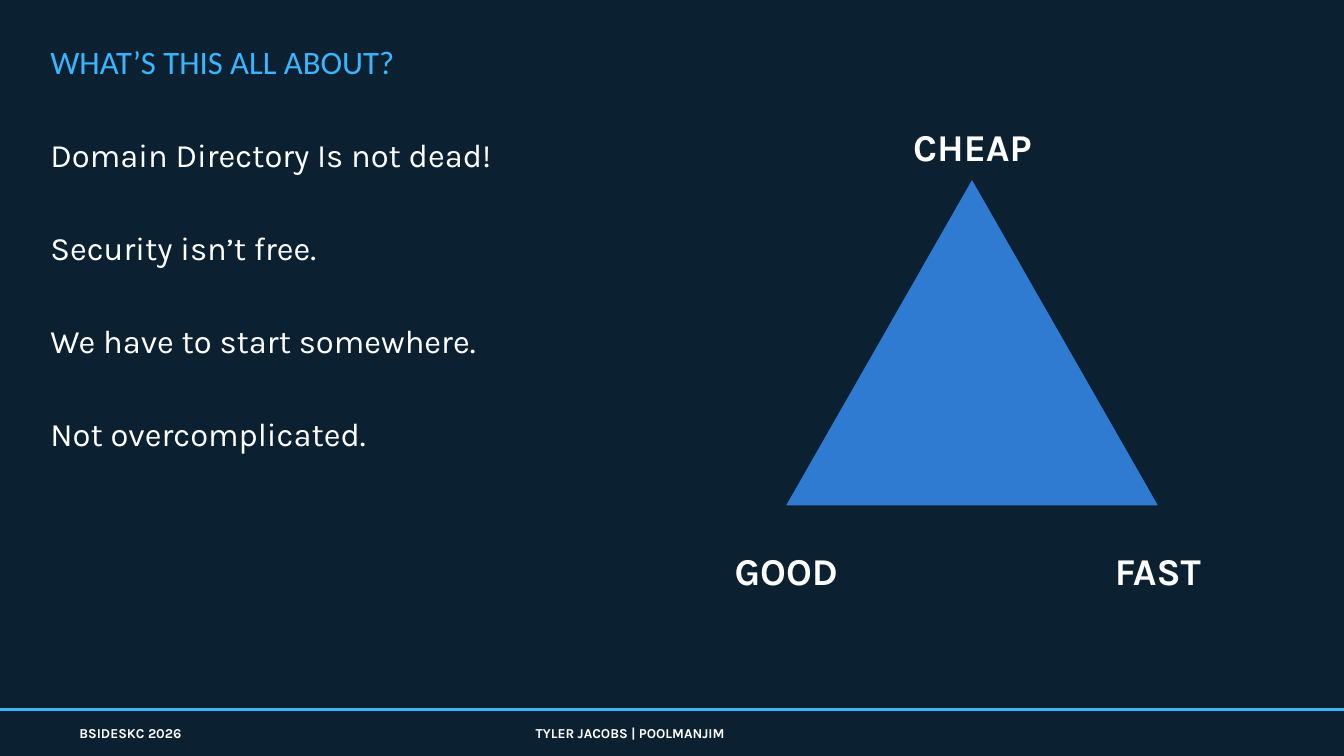
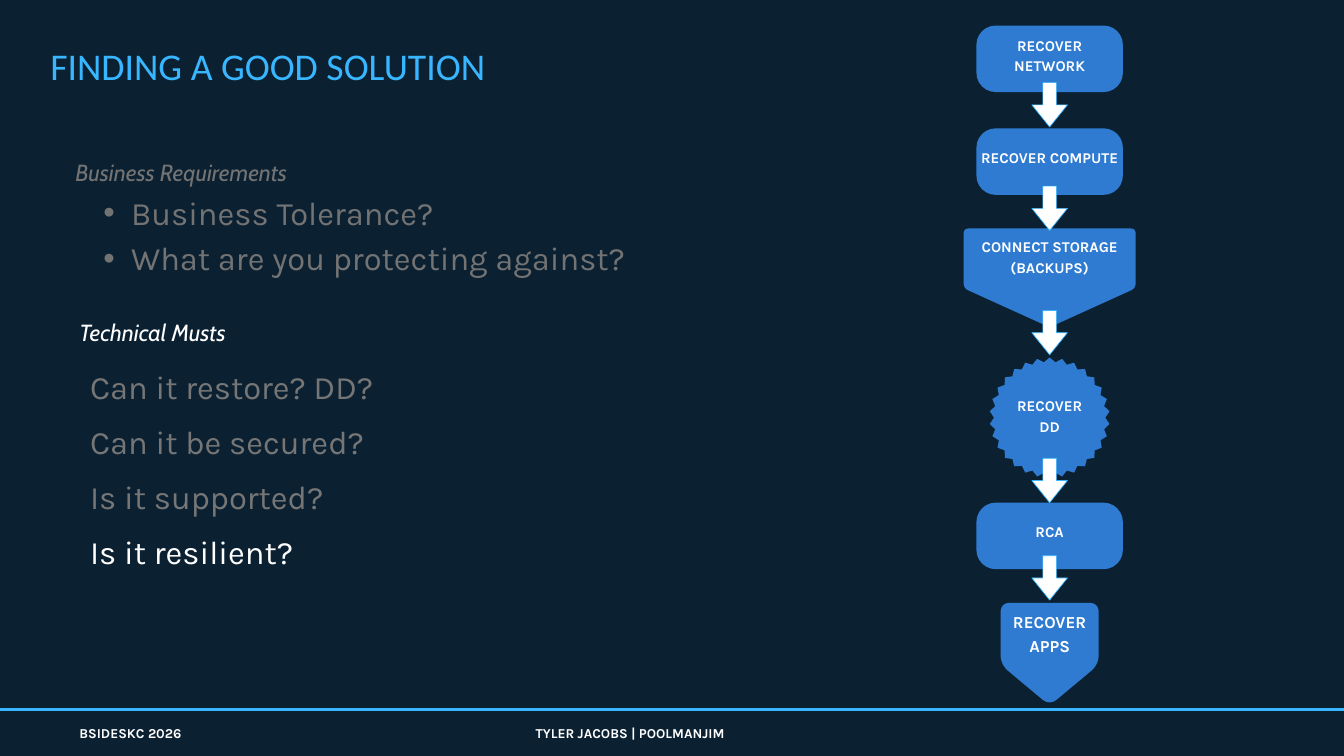
import math

import pptx
import pptx.util
import pptx.dml.color
import pptx.enum.shapes
import pptx.enum.text
import pptx.oxml
import pptx.oxml.ns
from pptx.util import Inches

RGB = pptx.dml.color.RGBColor
NAVY = RGB(0x0B, 0x21, 0x32)
SKY = RGB(0x38, 0xB6, 0xFF)
BLUE = RGB(0x2F, 0x7B, 0xD1)
WHITE = RGB(0xFF, 0xFF, 0xFF)
GREY = RGB(0x73, 0x73, 0x73)
PALE_GREY = RGB(0x76, 0x76, 0x76)

SHAPES = pptx.enum.shapes.MSO_SHAPE
ALIGN = pptx.enum.text.PP_ALIGN
ANCHOR = pptx.enum.text.MSO_ANCHOR
LEADING = 1.4
MARGIN = 0.75

FOOTERS = [("BSIDESKC 2026", 1.18, 2.64), ("TYLER JACOBS | POOLMANJIM", 7.97, 3.73)]

ABOUT_TITLE = "WHAT’S THIS ALL ABOUT?"
STATEMENTS = [
    "Domain Directory Is not dead!",
    "Security isn’t free.",
    "We have to start somewhere.",
    "Not overcomplicated.",
]
TRIANGLE = (11.7, 2.68, 5.53, 4.84)
# text, centre, top
TRIANGLE_LABELS = [("CHEAP", 14.47, 1.72), ("GOOD", 11.7, 8.04), ("FAST", 17.23, 8.04)]

SOLUTION_TITLE = "FINDING A GOOD SOLUTION"
BUSINESS_HEADING = "Business Requirements"
BUSINESS_POINTS = ["Business Tolerance?", "What are you protecting against?"]
TECHNICAL_HEADING = "Technical Musts"
TECHNICAL_QUESTIONS = [
    ("Can it restore? DD?", PALE_GREY),
    ("Can it be secured?", PALE_GREY),
    ("Is it supported?", PALE_GREY),
    ("Is it resilient?", WHITE),
]

FLOW_CENTRE = 15.62
# kind, shape (top, width, height), label, label (top, width, height), text size
FLOW_STEPS = [
    ("box", (0.38, 2.18, 0.99), "RECOVER NETWORK", (0.24, 2.18, 1.13), 16),
    ("box", (1.91, 2.18, 0.99), "RECOVER COMPUTE", (1.76, 2.18, 1.13), 16),
    ("pointer", (3.4, 2.56, 1.47), "CONNECT STORAGE\n(BACKUPS)", (3.36, 2.56, 0.89), 16),
    ("seal", (5.32, 1.79, 1.79), "RECOVER DD", (5.57, 1.12, 1.21), 16),
    ("box", (7.48, 2.18, 0.99), "RCA", (7.33, 2.18, 1.13), 16),
    ("pointer", (8.97, 1.46, 1.53), "RECOVER APPS", (8.94, 1.46, 0.93), 18),
]
# corner cut and height of the straight sides, by pointer width
POINTERS = {2.56: (0.08, 0.89), 1.46: (0.15, 0.92)}
ARROW_TOPS = [1.23, 2.77, 4.62, 6.82, 8.27]
ARROW_WIDTH, ARROW_HEIGHT = 0.53, 0.66
SEAL_TIPS, SEAL_INNER = 30, 0.925


def add_child(parent, tag, **attributes):
    child = pptx.oxml.parse_xml(f"<a:{tag} {pptx.oxml.ns.nsdecls('a')}/>")
    for name, value in attributes.items():
        child.set(name, str(value))
    parent.append(child)


def write_para(para, text, size=35, font="Karla", color=WHITE, bold=False,
               italic=False, align=ALIGN.LEFT, bullet=None):
    if bullet:
        para.level = 1
        properties = para._p.get_or_add_pPr()
        properties.set("marL", str(Inches(0.83)))
        properties.set("indent", str(Inches(-0.41)))
        add_child(properties, "buFont", typeface="Arial")
        add_child(properties, "buChar", char=bullet)
    para.alignment = align
    para.line_spacing = pptx.util.Pt(round(size * LEADING, 1))
    span = para.add_run()
    span.text = text
    span.font.size = pptx.util.Pt(size)
    span.font.name = font
    span.font.bold = bold
    span.font.italic = italic
    span.font.color.rgb = color


def add_text(page, text, left, top, width, height, inset=0, anchor=ANCHOR.TOP, **style):
    box = page.shapes.add_textbox(*map(Inches, (left, top, width, height)))
    frame = box.text_frame
    frame.word_wrap = True
    frame.vertical_anchor = anchor
    frame.margin_left = frame.margin_right = Inches(inset)
    frame.margin_top = frame.margin_bottom = Inches(inset)
    for index, line in enumerate(text.split("\n")):
        para = frame.add_paragraph() if index else frame.paragraphs[0]
        write_para(para, line, **style)
    return frame


def paint(shape, fill=BLUE, line=None):
    shape.shadow.inherit = False
    shape.fill.solid()
    shape.fill.fore_color.rgb = fill
    if line is None:
        shape.line.fill.background()
    else:
        shape.line.color.rgb = line
        shape.line.width = pptx.util.Pt(0.75)


def add_preset(page, kind, left, top, width, height, adjustments=(), **colors):
    shape = page.shapes.add_shape(kind, *map(Inches, (left, top, width, height)))
    for index, value in enumerate(adjustments):
        shape.adjustments[index] = value
    paint(shape, **colors)


def add_polygon(page, points):
    points = [(Inches(x), Inches(y)) for x, y in points]
    builder = page.shapes.build_freeform(*points[0])
    builder.add_line_segments(points[1:], close=True)
    paint(builder.convert_to_shape())


def rounded(corners, cut, steps=8):
    """Replace each corner by a curve that starts and ends at distance cut from it."""
    points = []
    for index, corner in enumerate(corners):
        ends = []
        for neighbour in (corners[index - 1], corners[(index + 1) % len(corners)]):
            share = cut / math.dist(corner, neighbour)
            ends.append([c + (n - c) * share for c, n in zip(corner, neighbour)])
        for step in range(steps + 1):
            t = step / steps
            points.append([a * (1 - t) ** 2 + 2 * c * t * (1 - t) + b * t ** 2
                           for a, c, b in zip(ends[0], corner, ends[1])])
    return points


def add_pointer(page, left, top, width, height):
    cut, side = POINTERS[width]
    right, shoulder = left + width, top + side
    corners = [(left, top), (right, top), (right, shoulder),
               (left + width / 2, top + height), (left, shoulder)]
    add_polygon(page, rounded(corners, cut))


def add_seal(page, left, top, width, height):
    radius = width / 2
    points = []
    for index in range(2 * SEAL_TIPS):
        angle = math.pi * index / SEAL_TIPS
        reach = radius * (SEAL_INNER if index % 2 else 1)
        points.append((left + radius + reach * math.sin(angle),
                       top + radius - reach * math.cos(angle)))
    add_polygon(page, points)


def add_box(page, left, top, width, height):
    add_preset(page, SHAPES.ROUNDED_RECTANGLE, left, top, width, height, [0.29])


FLOW_DRAWERS = {"box": add_box, "pointer": add_pointer, "seal": add_seal}


def add_page(deck, title, size):
    """Add a page with the shared background, footer and title."""
    page = deck.slides.add_slide(deck.slide_layouts[6])
    page.background.fill.solid()
    page.background.fill.fore_color.rgb = NAVY
    rule = page.shapes.add_connector(pptx.enum.shapes.MSO_CONNECTOR.STRAIGHT,
                                     0, Inches(10.56), Inches(20), Inches(10.56))
    rule.line.color.rgb = SKY
    rule.line.width = pptx.util.Pt(3)
    add_child(rule._element.spPr, "effectLst")
    for text, left, width in FOOTERS:
        add_text(page, text, left, 10.74, width, 0.27, size=14.6, bold=True)
    add_text(page, title, MARGIN, 0.53, 6.65, size * LEADING / 72,
             size=size, font="Calibri", color=SKY)
    return page


def build_about(deck):
    page = add_page(deck, ABOUT_TITLE, 35)
    for index, statement in enumerate(STATEMENTS):
        add_text(page, statement, MARGIN, 1.91 + 1.383 * index, 7, 0.66)
    add_preset(page, SHAPES.ISOSCELES_TRIANGLE, *TRIANGLE)
    for text, centre, top in TRIANGLE_LABELS:
        add_text(page, text, centre - 1, top, 2, 0.73, size=40.6, bold=True,
                 align=ALIGN.CENTER)


def build_solution(deck):
    page = add_page(deck, SOLUTION_TITLE, 40.4)
    heading = dict(size=25, font="Cabin", italic=True, align=ALIGN.JUSTIFY)
    frame = add_text(page, BUSINESS_HEADING, 1.12, 2.28, 9.31, 1.8, color=GREY, **heading)
    for point in BUSINESS_POINTS:
        write_para(frame.add_paragraph(), point, color=GREY, align=ALIGN.JUSTIFY, bullet="•")
    add_text(page, TECHNICAL_HEADING, 1.18, 4.66, 9.31, 0.46, **heading)
    for index, (question, color) in enumerate(TECHNICAL_QUESTIONS):
        add_text(page, question, 1.34, 5.36 + 0.82 * index, 6.05, 0.66,
                 color=color, align=ALIGN.JUSTIFY)

    for kind, (top, width, height), label, (label_top, label_width, label_height), size in FLOW_STEPS:
        FLOW_DRAWERS[kind](page, FLOW_CENTRE - width / 2, top, width, height)
        add_text(page, label, FLOW_CENTRE - label_width / 2, label_top, label_width,
                 label_height, inset=0.06, anchor=ANCHOR.MIDDLE, size=size, bold=True,
                 align=ALIGN.CENTER)
    for top in ARROW_TOPS:
        add_preset(page, SHAPES.DOWN_ARROW, FLOW_CENTRE - ARROW_WIDTH / 2, top,
                   ARROW_WIDTH, ARROW_HEIGHT, [0.38, 0.62], fill=WHITE, line=SKY)


def main():
    deck = pptx.Presentation()
    deck.slide_width, deck.slide_height = Inches(20), Inches(11.25)
    build_about(deck)
    build_solution(deck)
    deck.save("out.pptx")


if __name__ == "__main__":
    main()
